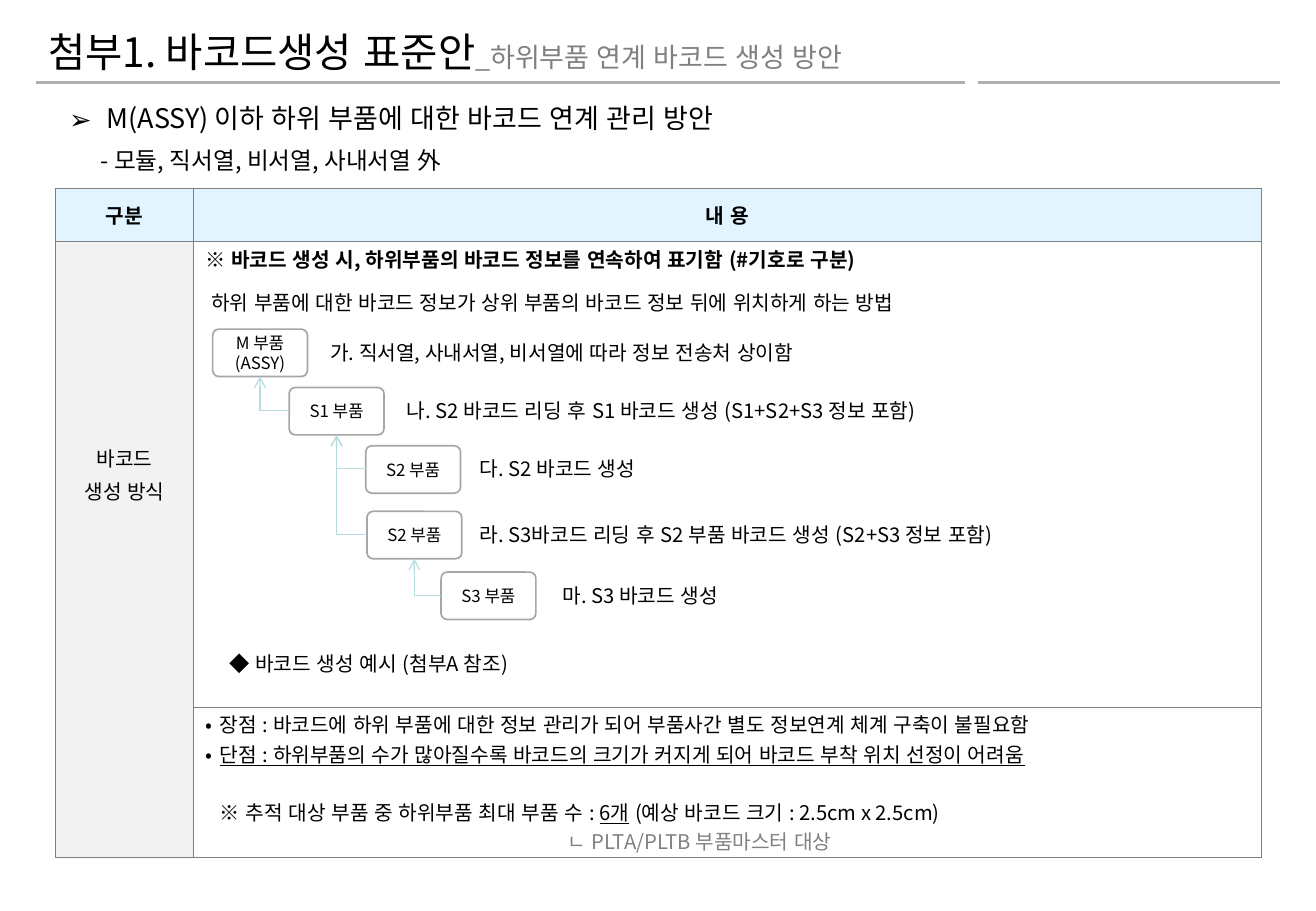
import pptx
import pptx.dml.color
import pptx.enum.lang
import pptx.enum.shapes
import pptx.enum.text
import pptx.oxml
import pptx.oxml.ns
import pptx.util
from lxml import etree

EMU_PER_PX = 9144
FONT = "Noto Sans CJK KR"
BLACK, GRAY, WHITE = "000000", "808080", "FFFFFF"
RULE_GRAY, BOX_GRAY, ARROW_TEAL = "AEAEAE", "A6A6A6", "B6DCDF"
HEAD_BLUE, SIDE_GRAY = "E1F4FF", "F2F2F2"
CENTER = pptx.enum.text.PP_ALIGN.CENTER
MIDDLE = pptx.enum.text.MSO_ANCHOR.MIDDLE
PART_WIDTH, PART_HEIGHT = 78, 39
PARTS = [
    (["M 부품", "(ASSY)"], 175, 271, None, 262, 596,
     "가. 직서열, 사내서열, 비서열에 따라 정보 전송처 상이함"),
    (["S1 부품"], 238, 319, 0, 325, 469,
     "나. S2 바코드 리딩 후 S1 바코드 생성 (S1+S2+S3 정보 포함)"),
    (["S2 부품"], 301, 367, 1, 385, 188, "다. S2 바코드 생성"),
    (["S2 부품"], 302, 421, 1, 385, 549,
     "라. S3바코드 리딩 후 S2 부품 바코드 생성 (S2+S3 정보 포함)"),
    (["S3 부품"], 363, 471, 3, 453, 188, "마. S3 바코드 생성"),
]


def px(length):
    """Turn a px length into EMU."""
    return pptx.util.Emu(length * EMU_PER_PX)


def rgb(value):
    """Turn a hex string into a colour."""
    return pptx.dml.color.RGBColor.from_string(value)


def add_element(parent, tag, **attributes):
    """Append a DrawingML element with the given attributes."""
    return etree.SubElement(parent, pptx.oxml.ns.qn(tag), attributes)


def write(frame, text, same_line=False, size=12, color=BLACK, bold=False, underline=False,
          align=None, before=None, line_spacing=None, margin=0, indent=0, bullet=None):
    """Write text as a new paragraph of the frame or as a further run of its last one."""
    paragraph = frame.paragraphs[-1]
    if not same_line:
        if paragraph.runs:
            paragraph = frame.add_paragraph()
        properties = paragraph._p.get_or_add_pPr()
        properties.set("marL", str(px(margin)))
        properties.set("indent", str(px(indent)))
        if bullet:
            add_element(properties, "a:buFont", typeface=FONT)
            add_element(properties, "a:buChar", char=bullet)
        else:
            add_element(properties, "a:buNone")
        paragraph.alignment = align
        paragraph.line_spacing = line_spacing
        if before:
            paragraph.space_before = pptx.util.Pt(before)
    run = paragraph.add_run()
    run.text = text
    font = run.font
    font.language_id = pptx.enum.lang.MSO_LANGUAGE_ID.KOREAN
    font.size = pptx.util.Pt(size)
    font.bold = bold
    font.underline = underline
    font.color.rgb = rgb(color)
    font.name = FONT
    add_element(run._r.get_or_add_rPr(), "a:ea", typeface=FONT)


def add_text_box(slide, left, top, width, height=30):
    """Add a wrapping text box that grows with its text and return its frame."""
    frame = slide.shapes.add_textbox(px(left), px(top), px(width), px(height)).text_frame
    frame.word_wrap = True
    frame.auto_size = pptx.enum.text.MSO_AUTO_SIZE.SHAPE_TO_FIT_TEXT
    return frame


def add_line(slide, kind, left, top, right, bottom, color, width):
    """Add a connector without a shadow."""
    connector = slide.shapes.add_connector(kind, px(left), px(top), px(right), px(bottom))
    connector.line.color.rgb = rgb(color)
    connector.line.width = pptx.util.Pt(width)
    add_element(connector._element.spPr, "a:effectLst")
    return connector


def add_bent_arrow(slide, left, top, right, bottom):
    """Add an arrow that runs left from the lower right corner, then up."""
    kind = pptx.enum.shapes.MSO_CONNECTOR.ELBOW
    arrow = add_line(slide, kind, left, top, right, bottom, ARROW_TEAL, 0.75)
    properties = arrow._element.spPr
    properties.find(pptx.oxml.ns.qn("a:prstGeom")).set("prst", "bentConnector2")
    properties.find(pptx.oxml.ns.qn("a:xfrm")).set("rot", "10800000")
    add_element(arrow.line._get_or_add_ln(), "a:tailEnd", type="arrow")


def add_part(slide, lines, left, top):
    """Add a rounded box that names one part."""
    shape = slide.shapes.add_shape(pptx.enum.shapes.MSO_SHAPE.ROUNDED_RECTANGLE,
                                   px(left), px(top), px(PART_WIDTH), px(PART_HEIGHT))
    shape.adjustments[0] = 0.13
    shape.shadow.inherit = False
    shape.fill.solid()
    shape.fill.fore_color.rgb = rgb(WHITE)
    shape.line.color.rgb = rgb(BOX_GRAY)
    shape.line.width = pptx.util.Pt(1)
    frame = shape.text_frame
    frame.word_wrap = True
    frame.vertical_anchor = MIDDLE
    frame.margin_left = frame.margin_right = px(2)
    frame.margin_top = frame.margin_bottom = px(5)
    for line in lines:
        write(frame, line, size=10, align=CENTER)


def format_cell(cell, fill, borders="LRTB", anchor=None):
    """Set fill, margins, anchor and borders of a cell and return its frame."""
    cell.fill.solid()
    cell.fill.fore_color.rgb = rgb(fill)
    cell.margin_left = cell.margin_right = px(10)
    cell.margin_top = cell.margin_bottom = px(2)
    cell.vertical_anchor = anchor
    properties = cell._tc.get_or_add_tcPr()
    for position, side in enumerate("LRTB"):
        border = add_element(properties, f"a:ln{side}", w=str(pptx.util.Pt(0.5)))
        properties.insert(position, border)
        if side in borders:
            add_element(add_element(border, "a:solidFill"), "a:srgbClr", val=GRAY)
        else:
            add_element(border, "a:noFill")
    return cell.text_frame


def add_header(slide):
    """Add the title, its rules and the lead lines."""
    for left, right in ((30, 794), (805, 1053)):
        add_line(slide, pptx.enum.shapes.MSO_CONNECTOR.STRAIGHT,
                 left, 68, right, 68, RULE_GRAY, 2)
    title = add_text_box(slide, 30, 13, 858, 55)
    write(title, "첨부1. 바코드생성 표준안", size=24, line_spacing=1.1)
    write(title, "_하위부품 연계 바코드 생성 방안", same_line=True, size=16, color=GRAY)
    lead = add_text_box(slide, 47, 79, 905, 72)
    write(lead, "M(ASSY) 이하 하위 부품에 대한 바코드 연계 관리 방안",
          size=16, margin=31, indent=-31, bullet="➢")
    write(lead, "- 모듈, 직서열, 비서열, 사내서열 外", size=14, before=7, margin=26)


def add_method_table(slide):
    """Add the table that frames the barcode method."""
    table = slide.shapes.add_table(3, 2, px(46), px(155), px(992), px(551)).table
    table.first_row = table.horz_banding = False
    for column, width in zip(table.columns, (113, 879)):
        column.width = px(width)
    for row, height in zip(table.rows, (44, 383, 124)):
        row.height = px(height)
    for column, heading in enumerate(("구분", "내 용")):
        frame = format_cell(table.cell(0, column), HEAD_BLUE, anchor=MIDDLE)
        write(frame, heading, bold=True, align=CENTER)
    side = format_cell(table.cell(1, 0), SIDE_GRAY, "LRT", MIDDLE)
    write(side, "바코드", align=CENTER)
    write(side, "생성 방식", align=CENTER, before=2.4)
    format_cell(table.cell(2, 0), SIDE_GRAY, "LRB")
    method = format_cell(table.cell(1, 1), WHITE)
    write(method, "※ 바코드 생성 시, 하위부품의 바코드 정보를 연속하여 표기함 (#기호로 구분)", bold=True)
    review = format_cell(table.cell(2, 1), WHITE)
    write(review, "장점 : 바코드에 하위 부품에 대한 정보 관리가 되어 부품사간 별도 정보연계 체계 구축이 불필요함",
          margin=12, indent=-12, bullet="•")
    write(review, "단점 : 하위부품의 수가 많아질수록 바코드의 크기가 커지게 되어 바코드 부착 위치 선정이 어려움",
          margin=12, indent=-12, bullet="•", underline=True)
    write(review, "※ 추적 대상 부품 중 하위부품 최대 부품 수 : ", margin=12, before=17)
    write(review, "6개", same_line=True, underline=True)
    write(review, " (예상 바코드 크기 : 2.5cm x 2.5cm)", same_line=True)
    write(review, "ㄴ PLTA/PLTB 부품마스터 대상", margin=298, color=GRAY)


def add_part_tree(slide):
    """Add the parts, their notes and the arrows to their parents."""
    for lines, left, top, parent, note_left, note_width, note in PARTS:
        add_part(slide, lines, left, top)
        write(add_text_box(slide, note_left, top + 4, note_width), note)
        if parent is not None:
            parent_left, parent_top = PARTS[parent][1:3]
            add_bent_arrow(slide, parent_left + PART_WIDTH // 2, parent_top + PART_HEIGHT,
                           left, top + PART_HEIGHT // 2)


def main():
    """Build the slide and save it."""
    presentation = pptx.Presentation()
    presentation.slide_width, presentation.slide_height = px(1083), px(750)
    slide = presentation.slides.add_slide(presentation.slide_layouts[6])
    add_header(slide)
    add_method_table(slide)
    write(add_text_box(slide, 164, 234, 762),
          "하위 부품에 대한 바코드 정보가 상위 부품의 바코드 정보 뒤에 위치하게 하는 방법")
    add_part_tree(slide)
    write(add_text_box(slide, 179, 531, 762), "◆ 바코드 생성 예시 (첨부A 참조)")
    presentation.save("out.pptx")


if __name__ == "__main__":
    main()
